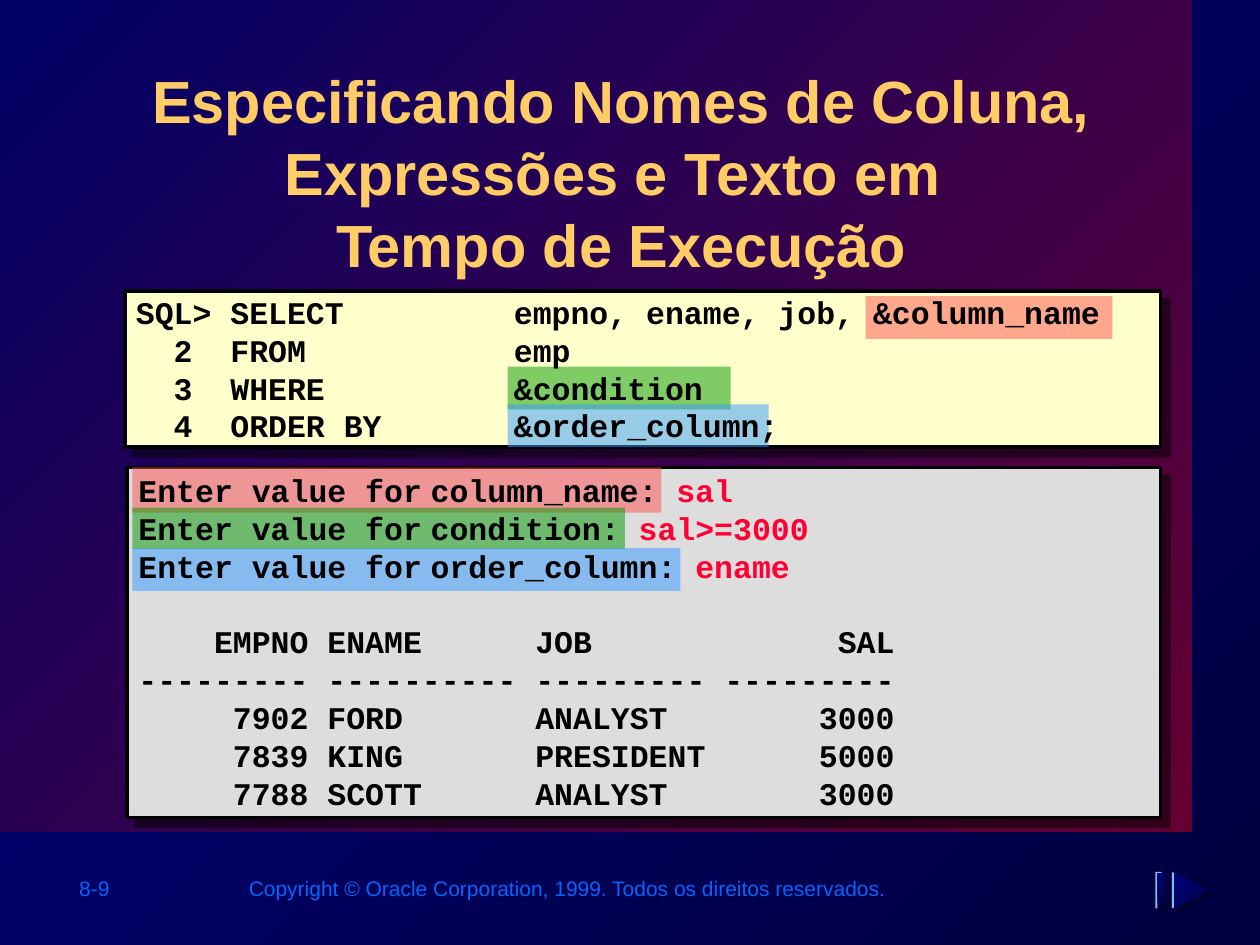
from typing import NamedTuple

from lxml import etree
from pptx import Presentation
from pptx.dml.color import RGBColor
from pptx.enum.shapes import MSO_SHAPE
from pptx.enum.text import MSO_ANCHOR, PP_ALIGN
from pptx.oxml.ns import qn
from pptx.util import Inches, Pt

RECT = MSO_SHAPE.RECTANGLE
TOP, MIDDLE = MSO_ANCHOR.TOP, MSO_ANCHOR.MIDDLE
LEFT, CENTER, RIGHT = PP_ALIGN.LEFT, PP_ALIGN.CENTER, PP_ALIGN.RIGHT

BLACK = RGBColor(0x00, 0x00, 0x00)
MAROON = RGBColor(0x66, 0x00, 0x33)
INDIGO = RGBColor(0x00, 0x00, 0x66)
NIGHT = RGBColor(0x00, 0x00, 0x3F)
NAVY = RGBColor(0x00, 0x00, 0x80)
GOLD = RGBColor(0xFF, 0xCC, 0x66)
FOOTER_BLUE = RGBColor(0x00, 0x66, 0xFF)
CREAM = RGBColor(0xFF, 0xFF, 0xCC)
GREY = RGBColor(0xDD, 0xDD, 0xDD)
INPUT_RED = RGBColor(0xFF, 0x00, 0x33)
CORAL = RGBColor(0xFF, 0x50, 0x50)
GREEN = RGBColor(0x00, 0x99, 0x00)
SKY = RGBColor(0x33, 0x99, 0xFF)
ICON_LIGHT = RGBColor(0x7F, 0xC1, 0xEB)

SANS, MONO = "Arial", "Courier New"
CODE_PITCH = Pt(21.6)
CODE_TABS = (1.31, 2, 3)


class Box(NamedTuple):
    x: float
    y: float
    w: float
    h: float


class Highlight(NamedTuple):
    color: RGBColor
    in_query: Box
    in_output: Box


class Prompt(NamedTuple):
    variable: str
    answer: str


HIGHLIGHTS = [
    Highlight(CORAL, Box(6.87, 2.35, 1.96, 0.34), Box(1.05, 3.71, 4.2, 0.36)),
    Highlight(GREEN, Box(4.03, 2.91, 1.77, 0.34), Box(1.05, 4.03, 3.91, 0.33)),
    Highlight(SKY, Box(4.03, 3.21, 2.07, 0.34), Box(1.05, 4.35, 4.35, 0.34)),
]
QUERY = [
    "SQL> SELECT\t\tempno, ename, job, &column_name",
    "  2  FROM\t\temp",
    "  3  WHERE\t\t&condition",
    "  4  ORDER BY\t\t&order_column;",
]
PROMPTS = [
    Prompt("column_name", "sal"),
    Prompt("condition", "sal>=3000"),
    Prompt("order_column", "ename"),
]
RESULT = [
    "    EMPNO ENAME      JOB             SAL",
    "--------- ---------- --------- ---------",
    "     7902 FORD       ANALYST        3000",
    "     7839 KING       PRESIDENT      5000",
    "     7788 SCOTT      ANALYST        3000",
]


def inches(box: Box) -> list:
    return [Inches(v) for v in box]


def add_shadow(props, distance: float, alpha: int) -> None:
    """Add a black 45 degree shadow to shape or run properties."""
    effects = etree.SubElement(props, qn("a:effectLst"))
    shadow = etree.SubElement(effects, qn("a:outerShdw"), dist=str(Pt(distance)),
                              dir="2700000", algn="ctr", rotWithShape="0")
    color = etree.SubElement(shadow, qn("a:srgbClr"), val=str(BLACK))
    etree.SubElement(color, qn("a:alpha"), val=str(alpha * 1000))


def set_gradient(fill, start: RGBColor, end: RGBColor) -> None:
    fill.gradient()
    fill.gradient_angle = 135
    for stop, color in zip(fill.gradient_stops, (start, end)):
        stop.color.rgb = color


def paint(sp, color: RGBColor | None) -> None:
    """Fill a flat shape; None means the background gradient."""
    sp.shadow.inherit = False
    sp.line.fill.background()
    if color is None:
        set_gradient(sp.fill, NIGHT, NAVY)
    else:
        sp.fill.solid()
        sp.fill.fore_color.rgb = color


def add_rect(s, box: Box, color: RGBColor | None):
    sp = s.shapes.add_shape(RECT, *inches(box))
    paint(sp, color)
    return sp


def add_panel(s, box: Box, color: RGBColor) -> None:
    sp = add_rect(s, box, color)
    sp.line.color.rgb = BLACK
    sp.line.width = Pt(2)
    props = sp._element.spPr
    props.remove(props.find(qn("a:effectLst")))
    add_shadow(props, 7.1, 50)


def add_highlight(s, box: Box, color: RGBColor) -> None:
    sp = add_rect(s, box, color)
    rgb = sp._element.spPr.find(qn("a:solidFill")).find(qn("a:srgbClr"))
    etree.SubElement(rgb, qn("a:alpha"), val="50000")


def add_run(p, text: str, *, size=18, font=MONO, color=BLACK, bold=True):
    r = p.add_run()
    r.text = text
    r.font.size, r.font.name, r.font.bold = Pt(size), font, bold
    r.font.color.rgb = color
    return r


def add_text_box(s, box: Box, anchor=TOP):
    tf = s.shapes.add_textbox(*inches(box)).text_frame
    tf.word_wrap = True
    tf.vertical_anchor = anchor
    return tf


def add_code_line(tf, first=False):
    p = tf.paragraphs[0] if first else tf.add_paragraph()
    tabs = etree.SubElement(p._p.get_or_add_pPr(), qn("a:tabLst"))
    for position in CODE_TABS:
        etree.SubElement(tabs, qn("a:tab"), pos=str(Inches(position)), algn="l")
    p.line_spacing = CODE_PITCH
    return p


def add_footer(s, box: Box, text: str, align) -> None:
    p = add_text_box(s, box).paragraphs[0]
    p.alignment = align
    add_run(p, text, size=12, font=SANS, color=FOOTER_BLUE, bold=False)


def add_triangle(s, x: float, y: float, size: float, color: RGBColor | None) -> None:
    builder = s.shapes.build_freeform(Inches(x + size), Inches(y + size / 2))
    builder.add_line_segments([(Inches(x), Inches(y)), (Inches(x), Inches(y + size))])
    paint(builder.convert_to_shape(), color)


def main() -> None:
    prs = Presentation()
    prs.slide_width, prs.slide_height = Inches(10), Inches(7.5)
    s = prs.slides.add_slide(prs.slide_layouts[5])

    # Background and footer
    set_gradient(s.background.fill, NIGHT, NAVY)
    backdrop = add_rect(s, Box(0, 0, 9.46, 6.6), INDIGO)
    set_gradient(backdrop.fill, MAROON, INDIGO)
    add_footer(s, Box(0.53, 6.9, 1.11, 0.3), "8-9", LEFT)
    add_footer(s, Box(1.84, 6.9, 5.29, 0.3),
               "Copyright © Oracle Corporation, 1999. Todos os direitos reservados.", RIGHT)

    # Panels
    add_panel(s, Box(0.99, 2.31, 8.22, 1.24), CREAM)
    add_panel(s, Box(1.01, 3.71, 8.2, 2.78), GREY)

    # Title, raised above the backdrop
    title = s.shapes.title
    s.shapes._spTree.append(title._element)
    title.left, title.top, title.width, title.height = inches(Box(0.78, 0.46, 8.3, 0.96))
    tf = title.text_frame
    tf.word_wrap, tf.vertical_anchor = True, TOP
    p = tf.paragraphs[0]
    p.alignment, p.line_spacing = CENTER, Pt(40.9)
    lines = ["Especificando Nomes de Coluna, Expressões e Texto em ", "Tempo de Execução"]
    for i, line in enumerate(lines):
        if i:
            p.add_line_break()
        r = add_run(p, line, size=34, font=SANS, color=GOLD)
        fill = r.font._element.find(qn("a:solidFill"))
        add_shadow(r.font._element, 3, 100)
        fill.addnext(r.font._element.find(qn("a:effectLst")))

    # Matching highlights in query and output
    for mark in HIGHLIGHTS:
        add_highlight(s, mark.in_query, mark.color)
        add_highlight(s, mark.in_output, mark.color)

    # Query
    tf = add_text_box(s, Box(0.98, 2.3, 8.19, 1.25), MIDDLE)
    for i, line in enumerate(QUERY):
        add_run(add_code_line(tf, i == 0), line)

    # Prompts and result
    tf = add_text_box(s, Box(1, 3.7, 8.19, 2.78), MIDDLE)
    for i, prompt in enumerate(PROMPTS):
        p = add_code_line(tf, i == 0)
        add_run(p, "Enter value for")
        add_run(p, " ", font=SANS)
        add_run(p, f"{prompt.variable}: ")
        add_run(p, prompt.answer, color=INPUT_RED)
    for i, line in enumerate(RESULT):
        p = add_code_line(tf)
        if i == 0:
            p.space_before = CODE_PITCH
        add_run(p, line)

    # Embossed "next" icon: shade, light, face
    layers = [(0.03, 0.02, BLACK), (0, 0, ICON_LIGHT), (0.02, 0.01, None)]
    for dx, dy, color in layers:
        add_rect(s, Box(9.17 + dx, 6.92 + dy, 0.05, 0.29), color)
    for dx, dy, color in layers:
        add_triangle(s, 9.3 + dx, 6.92 + dy, 0.29, color)

    prs.save("out.pptx")


if __name__ == "__main__":
    main()
